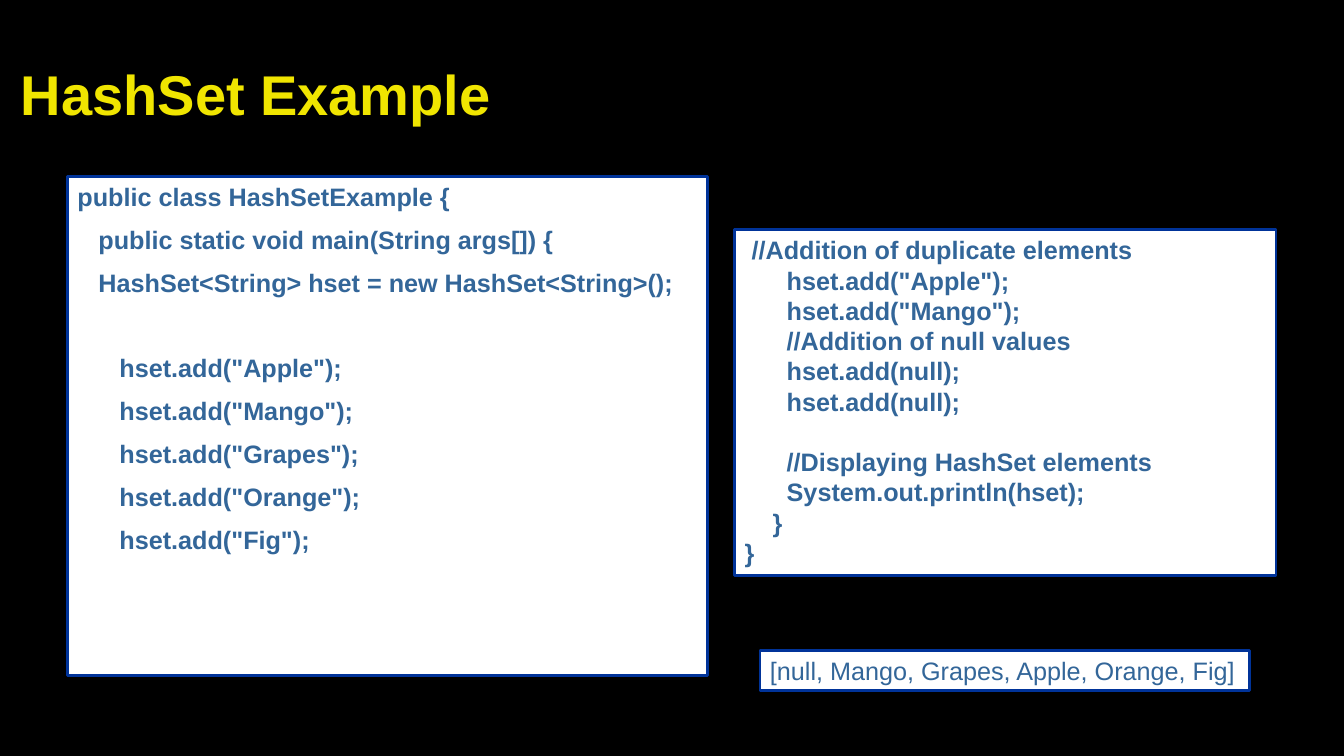
import dataclasses

import pptx
import pptx.dml.color
import pptx.enum.shapes
import pptx.enum.text
import pptx.util

Pt = pptx.util.Pt
RGB = pptx.dml.color.RGBColor.from_string


@dataclasses.dataclass(frozen=True)
class Theme:
    font: str = "Arial"
    background: str = "000000"
    title: str = "F0E500"
    code: str = "336699"
    panel: str = "FFFFFF"
    border: str = "003399"
    title_size: float = 40
    code_size: float = 18
    code_pitch: float = 21.6
    space_width: float = 5
    border_width: float = 2


def write(p, text, *, font, size, color, bold=True, indent=0, before=0, pitch=None):
    r = p.add_run()
    r.text = text
    r.font.name = font
    r.font.size = Pt(size)
    r.font.bold = bold
    r.font.color.rgb = RGB(color)
    p.alignment = pptx.enum.text.PP_ALIGN.LEFT
    p.space_before = Pt(before)
    if pitch:
        p.line_spacing = Pt(pitch)
    if indent:
        p._p.get_or_add_pPr().set("marL", str(Pt(indent)))


class Deck:
    def __init__(self, theme):
        self.theme = theme
        self.prs = pptx.Presentation()
        self.prs.slide_width, self.prs.slide_height = Pt(960), Pt(540)
        self.s = self.prs.slides.add_slide(self.prs.slide_layouts[6])
        fill = self.s.background.fill
        fill.solid()
        fill.fore_color.rgb = RGB(theme.background)

    def title(self, text, box):
        t = self.theme
        tf = self.s.shapes.add_textbox(*map(Pt, box)).text_frame
        tf.word_wrap = True
        tf.vertical_anchor = pptx.enum.text.MSO_ANCHOR.MIDDLE
        write(tf.paragraphs[0], text, font=t.font, size=t.title_size, color=t.title)

    def panel(self, lines, box, *, bold=True, gap=0):
        t = self.theme
        sp = self.s.shapes.add_shape(
            pptx.enum.shapes.MSO_SHAPE.RECTANGLE, *map(Pt, box))
        sp.shadow.inherit = False
        sp.fill.solid()
        sp.fill.fore_color.rgb = RGB(t.panel)
        sp.line.color.rgb = RGB(t.border)
        sp.line.width = Pt(t.border_width)
        tf = sp.text_frame
        tf.word_wrap = True
        tf.vertical_anchor = pptx.enum.text.MSO_ANCHOR.TOP
        p, before = tf.paragraphs[0], 0
        for i, (spaces, text, skipped) in enumerate(lines):
            if i:
                p = tf.add_paragraph()
                before = gap + skipped * (t.code_pitch + gap)
            write(p, text, font=t.font, size=t.code_size, color=t.code, bold=bold,
                  indent=spaces * t.space_width, before=before, pitch=t.code_pitch)

    def save(self):
        self.prs.save("out.pptx")


def main():
    deck = Deck(Theme())
    deck.title("HashSet Example", (7.92, 21.6, 864, 90))
    deck.panel([
        (0, "public class HashSetExample {", 0),
        (3, "public static void main(String args[]) {", 0),
        (3, "HashSet<String> hset = new HashSet<String>();", 0),
        (6, 'hset.add("Apple");', 1),
        (6, 'hset.add("Mango");', 0),
        (6, 'hset.add("Grapes");', 0),
        (6, 'hset.add("Orange");', 0),
        (6, 'hset.add("Fig");', 0),
    ], (48.24, 126, 457.2, 356.4), gap=9)
    deck.panel([
        (1, "//Addition of duplicate elements", 0),
        (6, 'hset.add("Apple");', 0),
        (6, 'hset.add("Mango");', 0),
        (6, "//Addition of null values", 0),
        (6, "hset.add(null);", 0),
        (6, "hset.add(null);", 0),
        (6, "//Displaying HashSet elements", 1),
        (6, "System.out.println(hset);", 0),
        (4, "}", 0),
        (0, "}", 0),
    ], (524.88, 164.16, 386.64, 246.96))
    deck.panel([(0, "[null, Mango, Grapes, Apple, Orange, Fig]", 0)],
               (542.88, 464.4, 349.92, 28.8), bold=False)
    deck.save()


if __name__ == "__main__":
    main()
